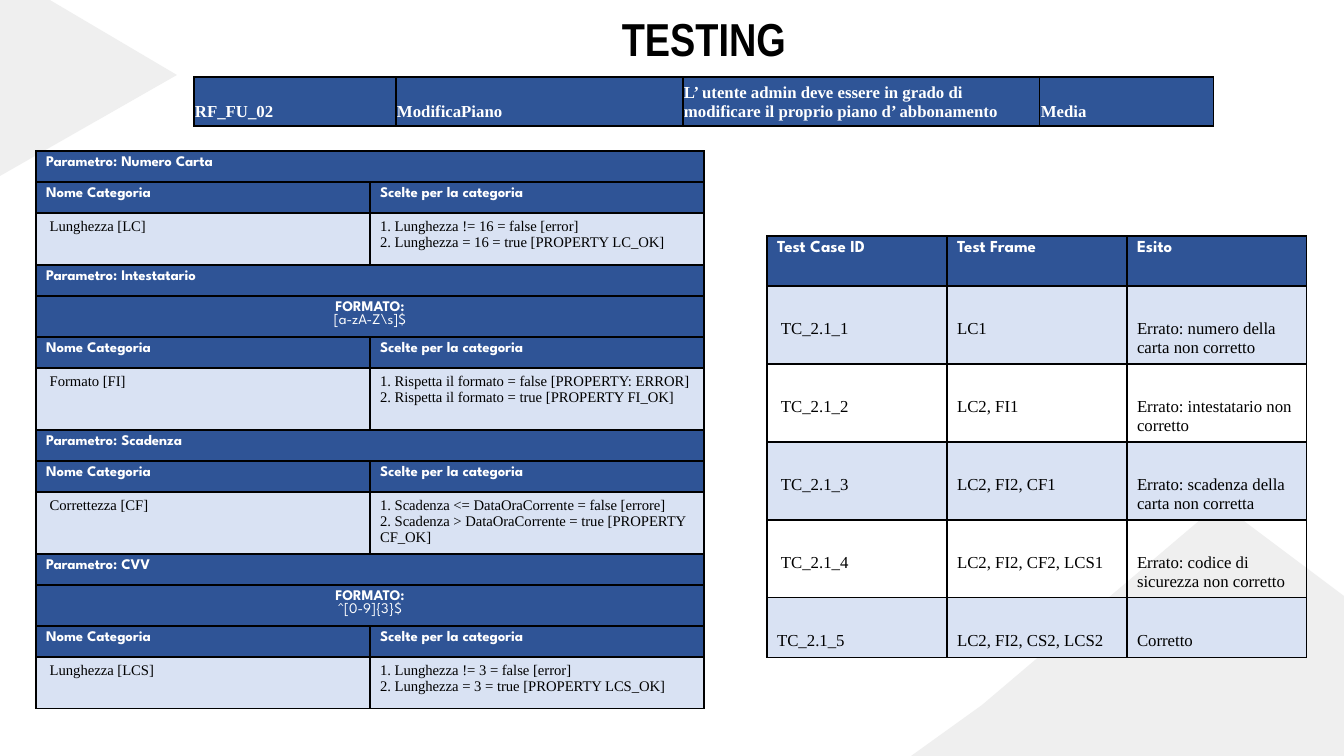
"""Build the TESTING slide: requirement, category partition and test case tables."""
from lxml.etree import SubElement
from pptx import Presentation
from pptx.dml.color import RGBColor
from pptx.enum.text import MSO_ANCHOR, PP_ALIGN
from pptx.oxml.ns import qn
from pptx.util import Pt

PX = 914400 / 100.8
COLORS = {
    "header": "2F5496",
    "requirement": "2F5597",
    "band": "D9E2F3",
    "decor": "878787",
    "white": "FFFFFF",
    "black": "000000",
}
SPARTAN, TIMES = "League Spartan", "Times New Roman"


def add_grid(left, top, widths, heights):
    frame = slide.shapes.add_table(
        len(heights), len(widths), round(left * PX), round(top * PX),
        round(sum(widths) * PX), round(sum(heights) * PX))
    grid = frame.table
    grid.first_row = grid.horz_banding = False
    for column, width in zip(grid.columns, widths):
        column.width = round(width * PX)
    for row, height in zip(grid.rows, heights):
        row.height = round(height * PX)
    for cell in grid.iter_cells():
        properties = cell._tc.get_or_add_tcPr()
        for side in ("a:lnL", "a:lnR", "a:lnT", "a:lnB"):
            border = SubElement(properties, qn(side), w=str(Pt(1)))
            paint = SubElement(border, qn("a:solidFill"))
            SubElement(paint, qn("a:srgbClr"), val=COLORS["black"])
    return grid


def write_cell(cell, lines, fill, size, font, color, bold, align=PP_ALIGN.LEFT):
    if fill:
        cell.fill.solid()
        cell.fill.fore_color.rgb = RGBColor.from_string(COLORS[fill])
    else:
        cell.fill.background()
    for index, line in enumerate(lines):
        text = cell.text_frame
        paragraph = text.add_paragraph() if index else text.paragraphs[0]
        paragraph.alignment = align
        run = paragraph.add_run()
        run.text = line
        run.font.size = Pt(size)
        run.font.name = font
        run.font.bold = bold and (index == 0 or align == PP_ALIGN.LEFT)
        run.font.color.rgb = RGBColor.from_string(COLORS[color])


presentation = Presentation()
presentation.slide_width = round(1344 * PX)
presentation.slide_height = round(756 * PX)
slide = presentation.slides.add_slide(presentation.slide_layouts[6])

decor_outlines = [
    [(911, 756), (982, 705), (1220, 503), (1344, 596), (1344, 756)],
    [(0, 176), (177, 75), (50, 0), (0, 0)],
]
for outline in decor_outlines:
    builder = slide.shapes.build_freeform(*outline[0], scale=PX)
    builder.add_line_segments(outline[1:], close=True)
    decor = builder.convert_to_shape()
    decor.shadow.inherit = False
    decor.line.fill.background()
    decor.fill.solid()
    decor.fill.fore_color.rgb = RGBColor.from_string(COLORS["decor"])
    tint = decor.fill._xPr.find(qn("a:solidFill"))[0]
    SubElement(tint, qn("a:alpha"), val="13000")

parameters = [
    ("Numero Carta", None, "Lunghezza [LC]",
     ["1. Lunghezza != 16 = false [error]",
      "2. Lunghezza = 16 = true [PROPERTY LC_OK]"], 52),
    ("Intestatario", r"[a-zA-Z\s]$", "Formato [FI]",
     ["1. Rispetta il formato = false [PROPERTY: ERROR]",
      "2. Rispetta il formato = true [PROPERTY FI_OK]"], 62),
    ("Scadenza", None, "Correttezza [CF]",
     ["1. Scadenza <= DataOraCorrente = false [errore]",
      "2. Scadenza > DataOraCorrente = true [PROPERTY CF_OK]"], 62),
    ("CVV", "^[0-9]{3}$", "Lunghezza [LCS]",
     ["1. Lunghezza != 3 = false [error]",
      "2. Lunghezza = 3 = true [PROPERTY LCS_OK]"], 52),
]
partition_heights = []
for name, pattern, category, choices, choices_height in parameters:
    partition_heights += [31, 41, 31, choices_height] if pattern else [31, 31, choices_height]
partition = add_grid(36, 151, [334, 334], partition_heights)
partition_header = ("header", 10.5, SPARTAN, "white", True)
partition_body = ("band", 10.5, TIMES, "black", False)
row = 0
for name, pattern, category, choices, choices_height in parameters:
    banners = [([f"Parametro: {name}"], PP_ALIGN.LEFT)]
    if pattern:
        banners.append((["FORMATO:", pattern], PP_ALIGN.CENTER))
    for lines, align in banners:
        banner = partition.cell(row, 0)
        banner.merge(partition.cell(row, 1))
        write_cell(banner, lines, *partition_header, align)
        row += 1
    for column, heading in enumerate(["Nome Categoria", "Scelte per la categoria"]):
        write_cell(partition.cell(row, column), [heading], *partition_header)
    write_cell(partition.cell(row + 1, 0), [f" {category}"], *partition_body)
    write_cell(partition.cell(row + 1, 1), choices, *partition_body)
    row += 2

test_cases = [
    (" TC_2.1_1", "LC1", "Errato: numero della carta non corretto"),
    (" TC_2.1_2", "LC2, FI1", "Errato: intestatario non corretto"),
    (" TC_2.1_3", "LC2, FI2, CF1", "Errato: scadenza della carta non corretta"),
    (" TC_2.1_4", "LC2, FI2, CF2, LCS1", "Errato: codice di sicurezza non corretto"),
    ("TC_2.1_5", "LC2, FI2, CS2, LCS2", "Corretto"),
]
cases = add_grid(767, 236, [180] * 3, [50] + [78] * 4 + [60])
for column, heading in enumerate(["Test Case ID", "Test Frame", "Esito"]):
    write_cell(cases.cell(0, column), [heading], "header", 12, SPARTAN, "white", True)
for row, test_case in enumerate(test_cases, 1):
    for column, value in enumerate(test_case):
        cell = cases.cell(row, column)
        cell.margin_top = round(34 * PX)
        write_cell(cell, [value], "band" if row % 2 else None, 12, TIMES, "black", False)

requirement_values = [
    "RF_FU_02",
    "ModificaPiano",
    "L’ utente admin deve essere in grado di modificare il proprio piano d’ abbonamento",
    "Media",
]
requirement = add_grid(194, 77, [202, 287, 357, 174], [49])
for cell, value in zip(requirement.iter_cells(), requirement_values):
    cell.vertical_anchor = MSO_ANCHOR.BOTTOM
    cell.margin_left = cell.margin_right = cell.margin_top = round(PX)
    cell.margin_bottom = round(5 * PX)
    write_cell(cell, [value], "requirement", 12, TIMES, "white", True)

title = slide.shapes.add_textbox(*(round(n * PX) for n in (279, 0, 850, 64))).text_frame
title.word_wrap = True
title.margin_left = title.margin_right = round(10 * PX)
title.margin_top = title.margin_bottom = round(10 * PX)
title.paragraphs[0].alignment = PP_ALIGN.CENTER
title_run = title.paragraphs[0].add_run()
title_run.text = "TESTING"
title_run.font.size = Pt(33)
title_run.font.name = "Arial Narrow"
title_run.font.bold = True
title_run.font.color.rgb = RGBColor.from_string(COLORS["black"])

presentation.save("out.pptx")
